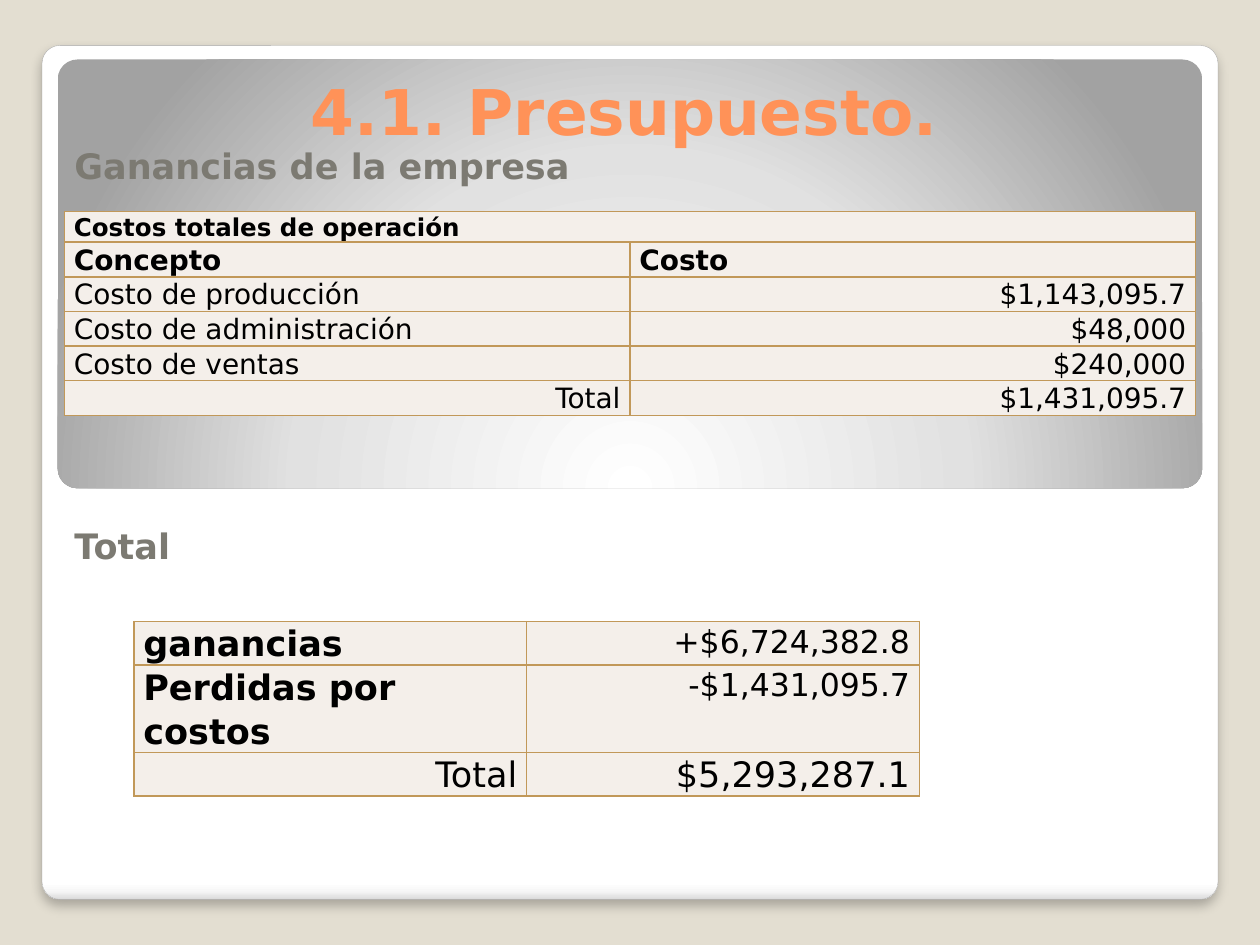
from pptx import Presentation, oxml
from pptx import util as u
from pptx.dml import color as dml
from pptx.enum import shapes, text
from pptx.oxml import ns

COLORS = {
    "background": "E3DED1", "title": "FF9258", "heading": "7C7A72",
    "cell": "F4EFEA", "border": "C19859", "ink": "000000", "edge": "A4A4A4",
}
LEFT, CENTER = text.PP_ALIGN.LEFT, text.PP_ALIGN.CENTER
RIGHT, JUSTIFY = text.PP_ALIGN.RIGHT, text.PP_ALIGN.JUSTIFY
Pt = u.Pt


def rgb(name):
    return dml.RGBColor.from_string(COLORS[name])


def assign(target, values):
    for name, value in values.items():
        setattr(target, name, value)


class Deck:
    font = "DejaVu Sans"

    def __init__(self, width, height):
        self.prs = Presentation()
        assign(self.prs, {"slide_width": Pt(width), "slide_height": Pt(height)})
        self.slide = self.prs.slides.add_slide(self.prs.slide_layouts[0])
        fill = self.slide.background.fill
        fill.solid()
        fill.fore_color.rgb = rgb("background")

    def put_text(self, paragraph, words, size, color="ink", bold=False, **layout):
        run = paragraph.add_run()
        run.text = words
        assign(run.font, {"name": self.font, "size": Pt(size), "bold": bold})
        run.font.color.rgb = rgb(color)
        assign(paragraph, layout)

    def panel(self, box, corner, stops, direction):
        """Rounded panel with a gradient, placed behind the title."""
        panel = self.slide.shapes.add_shape(
            shapes.MSO_SHAPE.ROUNDED_RECTANGLE, *map(Pt, box))
        panel.adjustments[0] = corner
        panel.shadow.inherit = False
        panel.line.fill.background()
        marks = "".join(f'<a:gs pos="{pos * 1000}"><a:srgbClr val="{color}"/></a:gs>'
                        for pos, color in stops)
        panel.element.spPr.find(ns.qn("a:prstGeom")).addnext(oxml.parse_xml(
            f'<a:gradFill {ns.nsdecls("a")} rotWithShape="1"><a:gsLst>{marks}</a:gsLst>'
            f'{direction}</a:gradFill>'))
        self.slide.shapes.title.element.addprevious(panel.element)
        return panel

    def soft_edge(self, panel):
        """Hairline and a faint shadow below."""
        panel.line.color.rgb = rgb("edge")
        panel.line.width = Pt(0.16)
        panel.element.spPr.find(ns.qn("a:effectLst")).append(oxml.parse_xml(
            f'<a:outerShdw {ns.nsdecls("a")} blurRad="{Pt(6)}" dist="{Pt(4)}" '
            f'dir="5400000" algn="t" rotWithShape="0"><a:srgbClr val="{COLORS["ink"]}">'
            f'<a:alpha val="25000"/></a:srgbClr></a:outerShdw>'))

    def placeholder(self, holder, box, margins, anchor):
        assign(holder, dict(zip(("left", "top", "width", "height"), map(Pt, box))))
        frame = holder.text_frame
        sides = ("margin_left", "margin_top", "margin_right", "margin_bottom")
        assign(frame, dict(zip(sides, map(Pt, margins))))
        assign(frame, {"word_wrap": True, "vertical_anchor": anchor,
                       "auto_size": text.MSO_AUTO_SIZE.NONE})
        return frame

    def table(self, left, top, column, heights, rows):
        """Two equal columns; a row with one entry spans both."""
        frame = self.slide.shapes.add_table(
            len(rows), 2, Pt(left), Pt(top), Pt(2 * column), Pt(sum(heights)))
        table = frame.table
        assign(table, {"first_row": False, "horz_banding": False})
        for row, height in zip(table.rows, heights):
            row.height = Pt(height)
        for cell in table.iter_cells():
            assign(cell, {"margin_left": Pt(5.4), "margin_right": Pt(5.4),
                          "margin_top": 0, "margin_bottom": 0})
            cell.fill.solid()
            cell.fill.fore_color.rgb = rgb("cell")
        for r, row in enumerate(rows):
            if len(row) == 1:
                table.cell(r, 0).merge(table.cell(r, 1))
            for c, (words, size, align, bold) in enumerate(row):
                self.put_text(table.cell(r, c).text_frame.paragraphs[0], words, size,
                              bold=bold, alignment=align, line_spacing=1.07)
        self.borders(frame)

    def borders(self, frame):
        for properties in frame.element.iter(ns.qn("a:tcPr")):
            for i, side in enumerate("LRTB"):
                properties.insert(i, oxml.parse_xml(
                    f'<a:ln{side} {ns.nsdecls("a")} w="{Pt(1)}"><a:solidFill>'
                    f'<a:srgbClr val="{COLORS["border"]}"/></a:solidFill></a:ln{side}>'))


def main():
    deck = Deck(720, 540)

    # Background panels
    card = deck.panel(
        (24, 26, 672, 488), 0.021,
        [(0, "FFFFFF"), (98, "FFFFFF"), (99, "F7F7F7"), (100, "DADADA")],
        '<a:lin ang="5400000" scaled="0"/>')
    deck.soft_edge(card)
    deck.panel(
        (33, 34, 654, 245), 0.046,
        [(0, "FFFFFF"), (55, "E1E1E1"), (100, "A2A2A2")],
        '<a:path path="circle"><a:fillToRect l="50000" t="175000" r="50000" b="-75000"/>'
        '</a:path>')

    # Title and section headings
    title = deck.placeholder(deck.slide.shapes.title, (57, 0, 612, 88.5),
                             (3.6, 3.6, 3.6, 3.6), text.MSO_ANCHOR.BOTTOM)
    deck.put_text(title.paragraphs[0], "4.1. Presupuesto. ", 36, "title", True,
                  alignment=CENTER)
    headings = deck.placeholder(deck.slide.placeholders[1], (25.2, 82.8, 669, 279.4),
                                (17.3, 0, 7.2, 3.6), text.MSO_ANCHOR.TOP)
    for paragraph, words, gap in (
            (headings.paragraphs[0], "Ganancias de la empresa", 0),
            (headings.add_paragraph(), "Total", 193)):
        deck.put_text(paragraph, words, 20, "heading", True,
                      alignment=LEFT, space_before=Pt(gap))

    # Operating costs
    costs = [("Costo de producción", "$1,143,095.7"),
             ("Costo de administración", "$48,000"),
             ("Costo de ventas", "$240,000")]
    deck.table(36.8, 120.8, 323.2, [17.6] + [19.8] * 5, [
        [("Costos totales de operación", 14, JUSTIFY, True)],
        [("Concepto", 16, JUSTIFY, True), ("Costo", 16, JUSTIFY, True)],
        *[[(concept, 16, JUSTIFY, False), (cost, 16, RIGHT, False)]
          for concept, cost in costs],
        [("Total", 16, RIGHT, False), ("$1,431,095.7", 16, RIGHT, False)],
    ])

    # Earnings less costs
    deck.table(76.5, 355.2, 224.5, [24.8, 49.6, 24.8], [
        [("ganancias", 20, LEFT, True), ("+$6,724,382.8", 18, RIGHT, False)],
        [("Perdidas por costos", 20, LEFT, True), ("-$1,431,095.7", 18, RIGHT, False)],
        [("Total", 20, RIGHT, False), ("$5,293,287.1", 20, RIGHT, False)],
    ])

    deck.prs.save("out.pptx")


if __name__ == "__main__":
    main()
